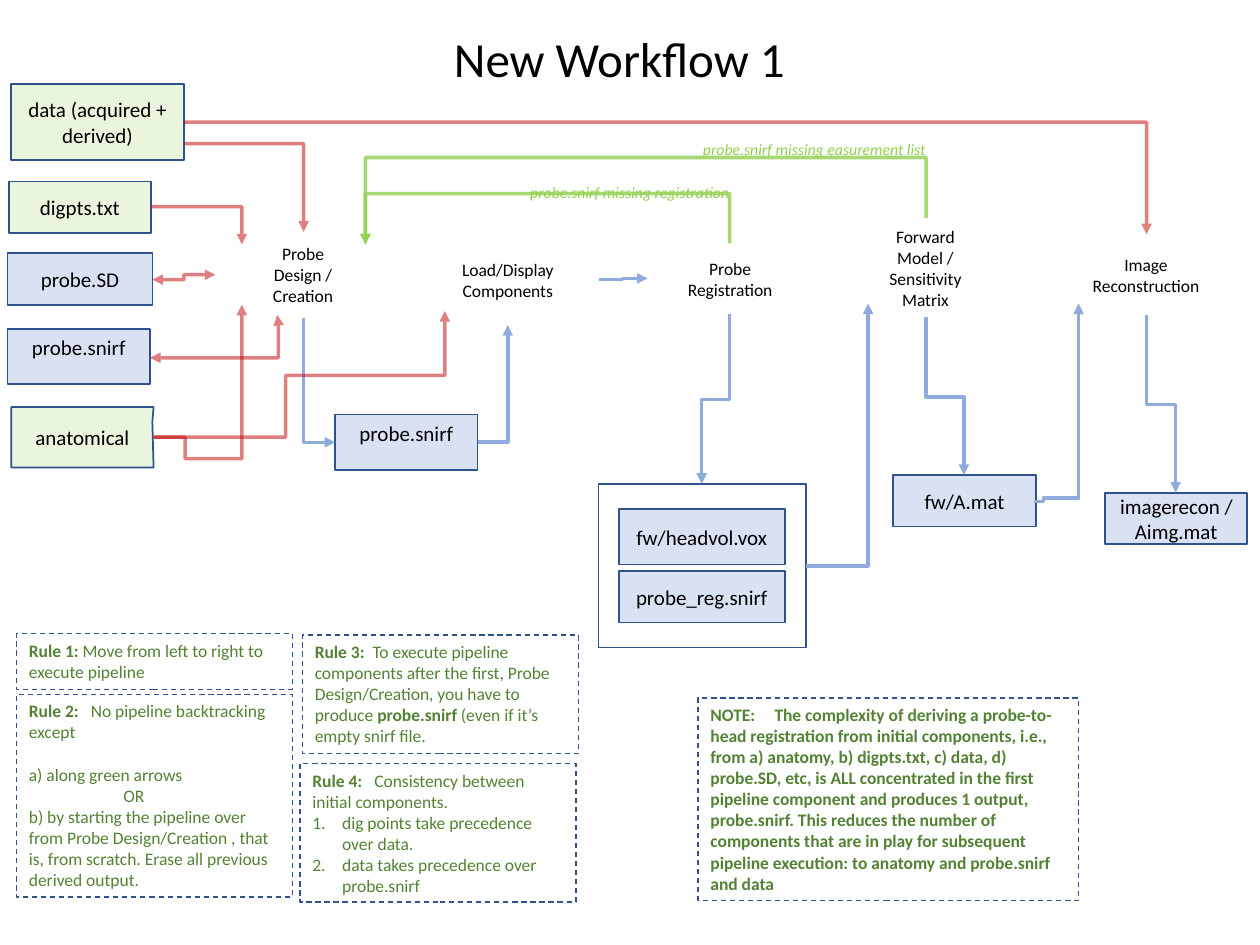
import math

import pptx
import pptx.dml.color
import pptx.enum.dml
import pptx.enum.shapes
import pptx.enum.text
import pptx.oxml
import pptx.oxml.ns
import pptx.util

Pt = pptx.util.Pt
qn = pptx.oxml.ns.qn
ANCHOR = pptx.enum.text.MSO_ANCHOR
ALIGN = pptx.enum.text.PP_ALIGN

THEME = {
    "font": "Calibri", "text": "000000", "rule": "548235", "outline": "2F528F",
    "derived": ("4472C4", 20), "input": ("92D050", 20),
    "forward": ("8FAADC", 100), "load": ("C00000", 50), "back": ("92D050", 80),
    "title_size": 28, "file_size": 12, "body_size": 10, "label_size": 9,
}

TITLE = ("New Workflow 1", (161.3, 13, 385.2, 41))
PIPELINE_OUTPUT = (342, 276.5, 118.8, 93.6)
FILES = [
    ("probe.snirf", "derived", (191.5, 236.9, 81.4, 31.7), ANCHOR.TOP),
    ("digpts.txt", "input", (5, 103.7, 81.4, 29.5), ANCHOR.MIDDLE),
    ("probe.SD", "derived", (4.3, 144.7, 82.8, 29.5), ANCHOR.MIDDLE),
    ("data (acquired + derived)", "input", (6.5, 48.2, 98.6, 43.2), ANCHOR.MIDDLE),
    ("fw/A.mat", "derived", (510.5, 271.4, 81.4, 29.5), ANCHOR.MIDDLE),
    ("imagerecon /Aimg.mat", "derived", (631.4, 281.5, 81.4, 29.5), ANCHOR.MIDDLE),
    ("probe_reg.snirf", "derived", (353.5, 326.2, 95, 29.5), ANCHOR.MIDDLE),
    ("fw/headvol.vox", "derived", (353.5, 290.9, 95, 31.7), ANCHOR.MIDDLE),
    ("probe.snirf", "derived", (4.3, 187.9, 81.4, 31.7), ANCHOR.TOP),
]
ANATOMICAL = ("anatomical", [(6.5, 232.6), (87.8, 232.6), (87.1, 241.2), (87.8, 267.1), (6.5, 267.1)])
STEPS = [
    ("Probe Design / Creation", (123.1, 132.5, 100.1, 49)),
    ("Load/Display Components", (238.3, 133.2, 103.7, 53.3)),
    ("Probe Registration", (370.1, 139.7, 94.3, 39.6)),
    ("Forward Model / Sensitivity Matrix", (481.7, 124.6, 94.3, 56.9)),
    ("Image Reconstruction", (600.5, 133.9, 108.7, 46.1)),
]
BACK_LABELS = [
    ("probe.snirf missing registration", (295.9, 100.8, 129.6, 18)),
    ("probe.snirf missing easurement list", (394.6, 76.3, 151.2, 18)),
]

# start, axis of first leg, turning coordinates, end, double-headed
ROUTES = {
    "forward": [
        ((173.5, 181.4), "v", [], (191.5, 252.7), False),
        ((272.9, 252.7), "h", [], (290.2, 185.8), False),
        ((529.2, 181.4), "v", [226.8], (550.8, 271.4), False),
        ((342, 159.8), "h", [355.7], (370.1, 159.1), False),
        ((416.9, 179.3), "v", [228.2], (401, 276.5), False),
        ((655.2, 180), "v", [231.1], (671.8, 281.5), False),
        ((460.8, 323.3), "h", [], (496.1, 173.5), False),
        ((591.1, 286.6), "h", [596.2, 284.4], (616.3, 173.5), False),
    ],
    "load": [
        ((86.4, 118.1), "h", [], (138.2, 139.7), False),
        ((87.1, 159.8), "h", [105.1], (123.1, 157), True),
        ((105.1, 69.8), "h", [], (655.2, 133.9), False),
        ((105.1, 82.1), "h", [], (173.5, 132.5), False),
        ((87.8, 249.8), "h", [105.8, 262.1], (138.2, 174.2), False),
        ((87.8, 249.8), "h", [163.4, 214.6], (254.2, 177.8), False),
        ((85.7, 204.5), "h", [159.1], (158.4, 180), True),
    ],
    "back": [
        ((416.9, 139), "v", [110.9], (208.8, 139.7), False),
        ((529.2, 124.6), "v", [90], (208.8, 139.7), False),
    ],
}

RULES = [
    ((9.4, 362.2, 157.7, 31.7), [
        {"runs": [("Rule 1:", True), (" Move from left to right to execute pipeline", False)]}]),
    ((9.4, 396.7, 157.7, 115.9), [
        {"runs": [("Rule 2:", True), ("\tNo pipeline backtracking except", False)], "tab": 35.4},
        {"runs": [("a) along green arrows", False)], "before": 12},
        {"runs": [("OR", False)], "left": 54},
        {"runs": [("b) by starting the pipeline over from Probe Design/Creation , that is, "
                   "from scratch. Erase all previous derived output.", False)]}]),
    ((172.8, 362.9, 157.7, 67.7), [
        {"runs": [("Rule 3:", True),
                  ("\tTo execute pipeline components after the first, Probe Design/Creation, "
                   "you have to produce ", False),
                  ("probe.snirf", True), (" (even if it’s empty snirf file.", False)], "tab": 33}]),
    ((171.4, 436.3, 157.7, 79.2), [
        {"runs": [("Rule 4:", True), ("\tConsistency between initial components.", False)], "tab": 35.4},
        {"runs": [("dig points take precedence over data.", False)], "left": 17, "numbered": True},
        {"runs": [("data takes precedence over probe.snirf", False)], "left": 17, "numbered": True}]),
    ((398.9, 398.9, 217.4, 115.9), [
        {"runs": [("NOTE:\tThe complexity of deriving a probe-to-head registration from initial "
                   "components, i.e., from a) anatomy, b) digpts.txt, c) data, d) probe.SD, etc, "
                   "is ALL concentrated in the first pipeline component and produces 1 output, "
                   "probe.snirf. This reduces the number of components that are in play for "
                   "subsequent pipeline execution: to anatomy and probe.snirf and data", True)],
         "tab": 36.6}]),
]


def apply_format(target, values):
    for attribute, value in values.items():
        setattr(target, attribute, value)


def add_element(parent, tag, **attributes):
    element = pptx.oxml.parse_xml(f'<a:{tag} {pptx.oxml.ns.nsdecls("a")}/>')
    for key, value in attributes.items():
        element.set(key, str(value))
    parent.append(element)
    return element


def paint(fill, color, opacity):
    fill.solid()
    fill.fore_color.rgb = pptx.dml.color.RGBColor.from_string(color)
    if opacity < 100:
        srgb = fill._xPr.find(qn("a:solidFill"))[0]
        add_element(srgb, "alpha", val=opacity * 1000)


def outline(shape, width, fill=None):
    shape.shadow.inherit = False
    paint(shape.line.fill, THEME["outline"], 100)
    shape.line.width = Pt(width)
    if fill:
        paint(shape.fill, *THEME[fill])
    else:
        shape.fill.background()


def add_run(paragraph, text, size, color, **style):
    run = paragraph.add_run()
    run.text = text
    apply_format(run.font, {"name": THEME["font"], "size": Pt(size), **style})
    run.font.color.rgb = pptx.dml.color.RGBColor.from_string(color)


def write(shape, text, size, color=THEME["text"], anchor=ANCHOR.MIDDLE, align=ALIGN.CENTER, **style):
    apply_format(shape.text_frame, {"word_wrap": True, "vertical_anchor": anchor})
    paragraph = shape.text_frame.paragraphs[0]
    paragraph.alignment = align
    add_run(paragraph, text, size, color, **style)


def add_box(shapes, place):
    return shapes.add_shape(pptx.enum.shapes.MSO_SHAPE.RECTANGLE, *map(Pt, place))


def add_rule(shapes, place, paragraphs):
    box = add_box(shapes, place)
    outline(box, 0.75)
    box.line.dash_style = pptx.enum.dml.MSO_LINE.DASH
    frame = box.text_frame
    apply_format(frame, {"word_wrap": True, "vertical_anchor": ANCHOR.TOP})
    for index, item in enumerate(paragraphs):
        paragraph = frame.add_paragraph() if index else frame.paragraphs[0]
        paragraph.alignment = ALIGN.LEFT
        if "before" in item:
            paragraph.space_before = Pt(item["before"])
        properties = paragraph._p.get_or_add_pPr()
        if "left" in item:
            properties.set("marL", str(Pt(item["left"])))
        if item.get("numbered"):
            properties.set("indent", str(-Pt(item["left"])))
            add_element(add_element(properties, "buClr"), "srgbClr", val=THEME["rule"])
            add_element(properties, "buAutoNum", type="arabicPeriod")
        if "tab" in item:
            add_element(add_element(properties, "tabLst"), "tab", pos=Pt(item["tab"]), algn="l")
        for text, bold in item["runs"]:
            add_run(paragraph, text, THEME["body_size"], THEME["rule"], bold=bold)


def add_route(shapes, kind, start, axis, turns, end, double):
    dx, dy = end[0] - start[0], end[1] - start[1]
    center = (start[0] + end[0]) / 2, (start[1] + end[1]) / 2
    across, down = (dx, dy) if axis == "h" else (dy, -dx)
    corners = [center[0] - across / 2, center[1] - down / 2, center[0] + across / 2, center[1] + down / 2]
    route = shapes.add_connector(pptx.enum.shapes.MSO_CONNECTOR.ELBOW, *map(Pt, corners))
    properties = route.element.spPr
    if axis == "v":
        properties.find(qn("a:xfrm")).set("rot", "5400000")
    geometry = properties.find(qn("a:prstGeom"))
    geometry.set("prst", f"bentConnector{len(turns) + 2}")
    adjustments = geometry.find(qn("a:avLst"))
    first = 0 if axis == "h" else 1
    for number, turn in enumerate(turns):
        side = (first + number) % 2
        share = (turn - start[side]) / (dx, dy)[side]
        add_element(adjustments, "gd", name=f"adj{number + 1}" if len(turns) > 1 else "adj1",
                    fmla=f"val {round(share * 100000)}")
    paint(route.line.fill, *THEME[kind])
    route.line.width = Pt(2)
    line = properties.find(qn("a:ln"))
    if double:
        add_element(line, "headEnd", type="triangle")
    add_element(line, "tailEnd", type="triangle")
    add_element(properties, "effectLst")


def main():
    deck = pptx.Presentation()
    apply_format(deck, {"slide_width": Pt(720), "slide_height": Pt(540)})
    shapes = deck.slides.add_slide(deck.slide_layouts[6]).shapes

    title, place = TITLE
    write(shapes.add_textbox(*map(Pt, place)), title, THEME["title_size"], anchor=ANCHOR.TOP)
    outline(add_box(shapes, PIPELINE_OUTPUT), 1)
    for name, kind, place, anchor in FILES:
        box = add_box(shapes, place)
        outline(box, 1, kind)
        write(box, name, THEME["file_size"], anchor=anchor)

    name, corners = ANATOMICAL
    builder = shapes.build_freeform(*map(Pt, corners[0]))
    builder.add_line_segments([tuple(map(Pt, corner)) for corner in corners[1:]], close=True)
    anatomical = builder.convert_to_shape()
    outline(anatomical, 1, "input")
    write(anatomical, name, THEME["file_size"])

    for step, (left, top, width, height) in STEPS:
        inner = width / math.sqrt(2)
        place = left + (width - inner) / 2, top, inner, height
        write(shapes.add_textbox(*map(Pt, place)), step, THEME["body_size"])
    for label, place in BACK_LABELS:
        write(shapes.add_textbox(*map(Pt, place)), label, THEME["label_size"], THEME["back"][0],
              ANCHOR.TOP, ALIGN.LEFT, italic=True)
    for kind, routes in ROUTES.items():
        for route in routes:
            add_route(shapes, kind, *route)
    for place, paragraphs in RULES:
        add_rule(shapes, place, paragraphs)
    deck.save("out.pptx")


if __name__ == "__main__":
    main()
